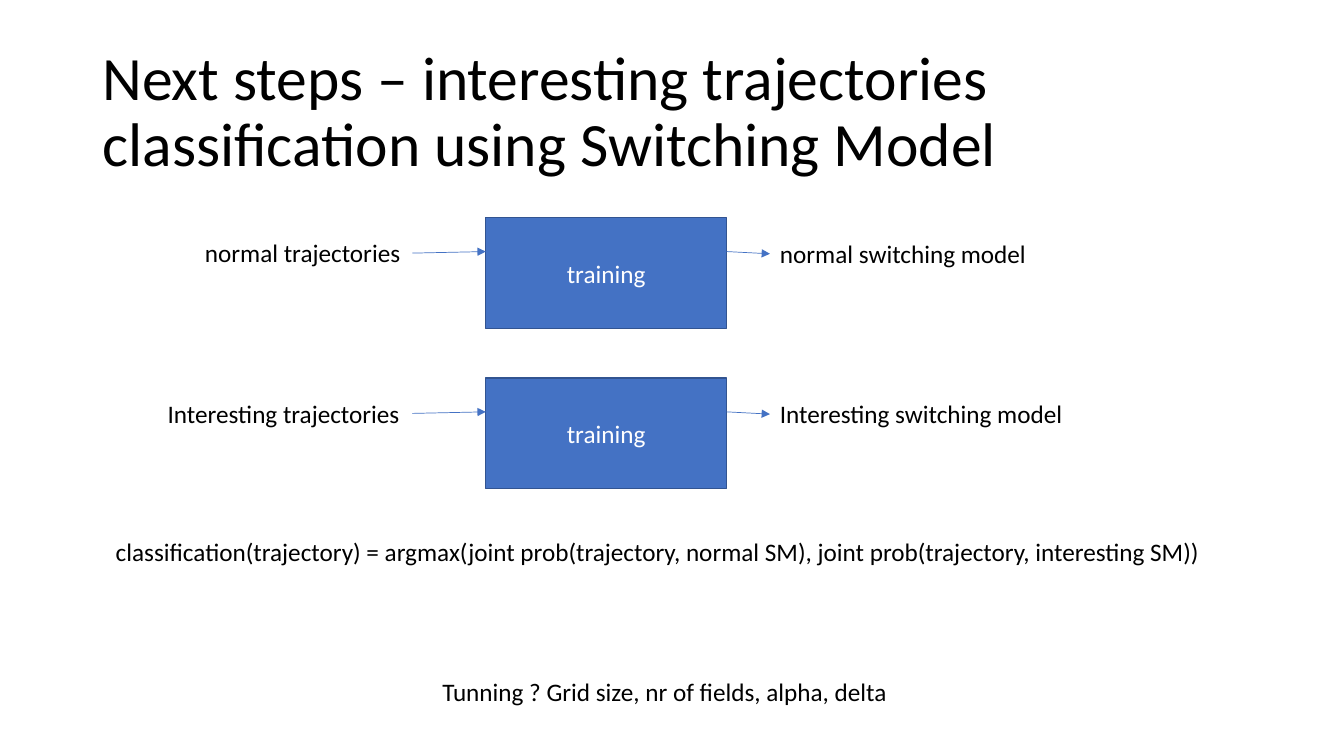
import dataclasses

import pptx
import pptx.dml.color
import pptx.enum.shapes
import pptx.enum.text
import pptx.oxml
import pptx.oxml.ns
import pptx.util

Pt = pptx.util.Pt
ALIGN = pptx.enum.text.PP_ALIGN
ANCHOR = pptx.enum.text.MSO_ANCHOR

COLORS = {"text": "000000", "box": "4472C4", "border": "325491", "light": "FFFFFF"}
FONT = "Calibri"
BOX_LEFT, BOX_WIDTH, BOX_HEIGHT = 347, 172, 79
FIRST_TOP, ROW_PITCH = 155.5, 114.5
INPUT_RIGHT, OUTPUT_LEFT = 294.5, 550
LABEL_HEIGHT = 29


@dataclasses.dataclass
class Pipeline:
    source: str
    source_width: float
    model: str
    model_width: float


@dataclasses.dataclass
class Note:
    text: str
    left: float
    top: float
    width: float


PIPELINES = [
    Pipeline("normal trajectories", 155.2, "normal switching model", 191.5),
    Pipeline("Interesting trajectories", 181.8, "Interesting switching model", 221),
]
NOTES = [
    Note("classification(trajectory) = argmax(joint prob(trajectory, normal SM), "
         "joint prob(trajectory, interesting SM))", 75.6, 379.5, 809.3),
    Note("Tunning ? Grid size, nr of fields, alpha, delta", 308.9, 479.5, 342.7),
]


def rgb(name: str) -> pptx.dml.color.RGBColor:
    return pptx.dml.color.RGBColor.from_string(COLORS[name])


def write(sp, text: str, *, size: float = 18, color: str = "text", align=ALIGN.LEFT,
          anchor=ANCHOR.TOP, wrap: bool = True, spacing: float = 1.0) -> None:
    tf = sp.text_frame
    tf.word_wrap = wrap
    tf.vertical_anchor = anchor
    p = tf.paragraphs[0]
    p.alignment = align
    p.line_spacing = spacing
    r = p.add_run()
    r.text = text
    r.font.name = FONT
    r.font.size = Pt(size)
    r.font.color.rgb = rgb(color)


def add_label(slide, text: str, left: float, top: float, width: float) -> None:
    sp = slide.shapes.add_textbox(Pt(left), Pt(top), Pt(width), Pt(LABEL_HEIGHT))
    write(sp, text, wrap=False)
    sp.text_frame.auto_size = pptx.enum.text.MSO_AUTO_SIZE.SHAPE_TO_FIT_TEXT


def add_arrow(slide, x1: float, y1: float, x2: float, y2: float) -> None:
    sp = slide.shapes.add_connector(pptx.enum.shapes.MSO_CONNECTOR.STRAIGHT,
                                    Pt(x1), Pt(y1), Pt(x2), Pt(y2))
    sp.line.color.rgb = rgb("box")
    sp.line.width = Pt(0.5)
    ns = pptx.oxml.ns.nsdecls("a")
    ln = sp.line._get_or_add_ln()
    ln.append(pptx.oxml.parse_xml(f'<a:tailEnd {ns} type="triangle"/>'))
    ln.getparent().append(pptx.oxml.parse_xml(f"<a:effectLst {ns}/>"))


def add_pipeline(slide, row: Pipeline, top: float) -> None:
    # Training box
    sp = slide.shapes.add_shape(pptx.enum.shapes.MSO_SHAPE.RECTANGLE,
                                Pt(BOX_LEFT), Pt(top), Pt(BOX_WIDTH), Pt(BOX_HEIGHT))
    sp.shadow.inherit = False
    sp.fill.solid()
    sp.fill.fore_color.rgb = rgb("box")
    sp.line.color.rgb = rgb("border")
    sp.line.width = Pt(1)
    write(sp, "training", color="light", align=ALIGN.CENTER, anchor=ANCHOR.MIDDLE)

    # Input and output labels
    add_label(slide, row.source, INPUT_RIGHT - row.source_width, top + 10.8, row.source_width)
    add_label(slide, row.model, OUTPUT_LEFT, top + 11.3, row.model_width)

    # Arrows into and out of the box
    port = top + 24.2
    add_arrow(slide, INPUT_RIGHT, port + 1.1, BOX_LEFT, port)
    add_arrow(slide, BOX_LEFT + BOX_WIDTH, port, OUTPUT_LEFT, port + 1.6)


def main() -> None:
    prs = pptx.Presentation()
    prs.slide_width, prs.slide_height = Pt(960), Pt(540)
    slide = prs.slides.add_slide(prs.slide_layouts[5])

    # Title
    title = slide.shapes.title
    title.left, title.top, title.width, title.height = Pt(66), Pt(28.75), Pt(828), Pt(104.4)
    write(title, "Next steps – interesting trajectories classification using Switching Model",
          size=44, anchor=ANCHOR.MIDDLE, spacing=0.9)

    # Training pipelines
    for i, row in enumerate(PIPELINES):
        add_pipeline(slide, row, FIRST_TOP + i * ROW_PITCH)

    # Formula and tuning question
    for note in NOTES:
        add_label(slide, note.text, note.left, note.top, note.width)

    prs.save("out.pptx")


if __name__ == "__main__":
    main()
